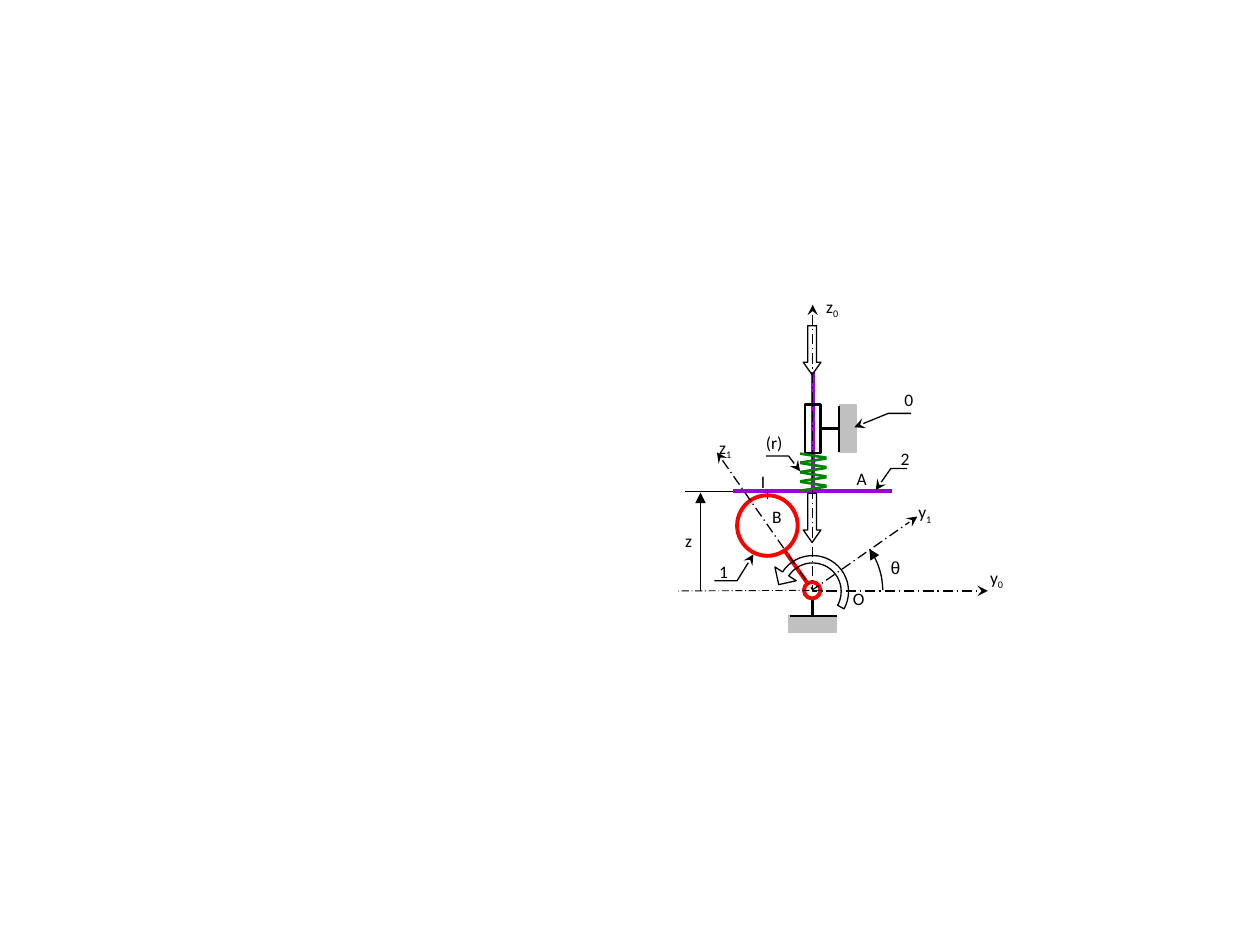
from math import cos, radians, sin
from lxml.etree import SubElement
from pptx import Presentation
from pptx.dml.color import RGBColor
from pptx.enum.dml import MSO_LINE
from pptx.enum.shapes import MSO_CONNECTOR, MSO_SHAPE
from pptx.oxml.ns import qn
from pptx.util import Pt

BLACK, RED, GREEN = "000000", "FF0000", "008000"
PURPLE, GREY = "9D03D3", "C0C0C0"


def tint(code):
    return RGBColor.from_string(code)


def arc(x, y, size, start, end, steps=24):
    turns = [radians(start + (end - start) * i / steps) for i in range(steps + 1)]
    return [(x + size * cos(a), y + size * sin(a)) for a in turns]


def stroke(part, color, width, dash=False, head=None, tail=None):
    part.line.color.rgb = tint(color)
    part.line.width = Pt(width)
    if dash:
        part.line.dash_style = MSO_LINE.LONG_DASH_DOT
    for tag, kind in (("a:headEnd", head), ("a:tailEnd", tail)):
        if kind:
            SubElement(part.line._get_or_add_ln(), qn(tag)).set("type", kind)


class Pen:
    def __init__(self, slide, box):
        self.shapes = slide.shapes
        self.left, self.top = box

    def at(self, x, y):
        return Pt(self.left + x), Pt(self.top + y)

    def line(self, start, end, color=BLACK, width=0.75, **ends):
        part = self.shapes.add_connector(
            MSO_CONNECTOR.STRAIGHT, *self.at(*start), *self.at(*end))
        stroke(part, color, width, **ends)
        SubElement(part._element.spPr, qn("a:effectLst"))
        return part

    def shape(self, kind, x, y, w, h, color=BLACK, width=0.75, fill=None):
        part = self.shapes.add_shape(kind, *self.at(x, y), Pt(w), Pt(h))
        self.finish(part, fill)
        stroke(part, color, width)
        return part

    def free(self, dots, close=False, **ends):
        first, *rest = [self.at(*dot) for dot in dots]
        maker = self.shapes.build_freeform(*first, scale=1.0)
        maker.add_line_segments(rest, close=close)
        part = maker.convert_to_shape()
        self.finish(part)
        stroke(part, BLACK, 0.75, **ends)

    def finish(self, part, fill=None):
        part.shadow.inherit = False
        if fill:
            part.fill.solid()
            part.fill.fore_color.rgb = tint(fill)
        else:
            part.fill.background()

    def text(self, x, y, word, sub="", font="Calibri"):
        frame = self.shapes.add_textbox(*self.at(x, y), Pt(45), Pt(20)).text_frame
        frame.word_wrap = True
        para = frame.paragraphs[0]
        para.text = word
        para._p.get_or_add_pPr().set("marL", str(Pt(17.28)))
        if sub:
            low = para.add_run()
            low.text = sub
            low.font._element.set("baseline", "-25000")
        for run in para.runs:
            run.font.name = font
            run.font.size = Pt(10)
            run.font.color.rgb = tint(BLACK)

    def leader(self, tip, bend, end):
        self.free([tip, bend, (end, bend[1])], head="stealth")


def guide(slide, box):
    pen = Pen(slide, box)
    wall = pen.shape(MSO_SHAPE.RECTANGLE, 69.8, 21.5, 9.4, 27, GREY, fill=GREY)
    sleeve = pen.shape(MSO_SHAPE.RECTANGLE, 50, 21, 8.8, 28, width=1.5)
    link = pen.line((58.8, 35), (69.8, 35), width=1.5)
    link.begin_connect(sleeve, 3)
    link.end_connect(wall, 1)
    pen.line((69.5, 21.8), (69.5, 48.5), width=1.5)
    for i in range(4):
        y = 49.2 + 5.35 * i
        pen.line((47.2, y), (62.3, y + 2.4), GREEN, 1.5)
        pen.line((62.3, y + 2.8), (47.2, y + 5.2), GREEN, 1.5)
    pen.leader((78.2, 34.1), (97.6, 26.2), 110.6)
    pen.text(82.5, 8.9, "0")
    pen.leader((47.2, 59.3), (40.7, 50.6), 27.8)
    pen.text(3.3, 33.4, "(r)")


def cam(slide, box):
    pen = Pen(slide, box)
    base = pen.shape(MSO_SHAPE.RECTANGLE, 70.7, 72.1, 27.4, 9.4, GREY, fill=GREY)
    post = pen.line((84.4, 62), (84.4, 72.1), width=1.5)
    post.end_connect(base, 0)
    pen.line((71.4, 72.1), (98.1, 72.1), width=1.5)
    pen.shape(MSO_SHAPE.OVAL, 41.2, 3, 34.6, 34.6, RED, 2.25)
    pen.line((67.8, 33.9), (81.5, 53.4), RED, 2.25)
    pen.shape(MSO_SHAPE.OVAL, 79.4, 52.6, 9.4, 9.4, RED, 2.25)
    pen.text(36.9, 5.8, "B")
    pen.leader((50.6, 36.8), (41.2, 51.9), 28.2)
    pen.text(6.6, 36.8, "1")


def plate(slide, box):
    pen = Pen(slide, box)
    pen.line((9, 70.8), (99.8, 70.8), PURPLE, 2.25)
    pen.line((54.4, 70.8), (54.4, 2.4), PURPLE, 2.25)
    pen.line((28.5, 69.4), (28.5, 75.1))
    pen.text(0.4, 55.7, "I")
    pen.text(55.1, 54.2, "A")
    pen.leader((90.4, 70.1), (99, 57.8), 108.4)
    pen.text(80.3, 42.7, "2")


def axes(slide, box):
    pen = Pen(slide, box)
    ends = dict(dash=True, head="stealth", tail="stealth")
    pen.free([(84.4, 14.2), (84.4, 177.7), (184.5, 177.7)], **ends)
    pen.free([(29.7, 98.5), (84.4, 177), (144.2, 135.2)], **ends)
    pen.line((90.2, 177.3), (6.6, 177.7), width=0.5, dash=True)
    pen.free(arc(84.4, 177.2, 40, -36, 0), head="triangle")
    pen.text(104.6, 154.6, "θ", font="Arial")
    pen.text(83, 172.6, "O")
    for x, y, word, sub in ((67.8, 5.6, "z", "0"), (161.4, 160.4, "y", "0"),
                            (120.4, 123, "y", "1"), (6.6, 86.2, "z", "1")):
        pen.text(x, y, word, sub)


def height(slide, box):
    pen = Pen(slide, box)
    pen.line((40.3, 11.5), (40.3, 67.7), head="triangle")
    pen.line((31.7, 10.8), (59, 10.8))
    pen.text(7.2, 29.5, "z")


def loads(slide, box):
    pen = Pen(slide, box)
    for y in (15.1, 110.9):
        arrow = pen.shape(MSO_SHAPE.RIGHT_ARROW, 10, y, 28.1, 10.1)
        arrow.rotation = 90
        arrow.adjustments[0] = 0.5
        arrow.adjustments[1] = 0.71
    tip = [(2.8, 144), (5, 154.1), (15, 151.9)]
    pen.free(arc(24.4, 158, 16.3, -147, 29) + arc(24.4, 158, 20.5, 29, -147) + tip,
             close=True)


def main():
    deck = Presentation()
    deck.slide_width, deck.slide_height = Pt(720), Pt(540)
    slide = deck.slides.add_slide(deck.slide_layouts[6])
    cam(slide, (380, 280))
    plate(slide, (410, 210))
    axes(slide, (380, 160))
    guide(slide, (410, 210))
    height(slide, (360, 270))
    loads(slide, (440, 180))
    deck.save("out.pptx")


if __name__ == "__main__":
    main()
